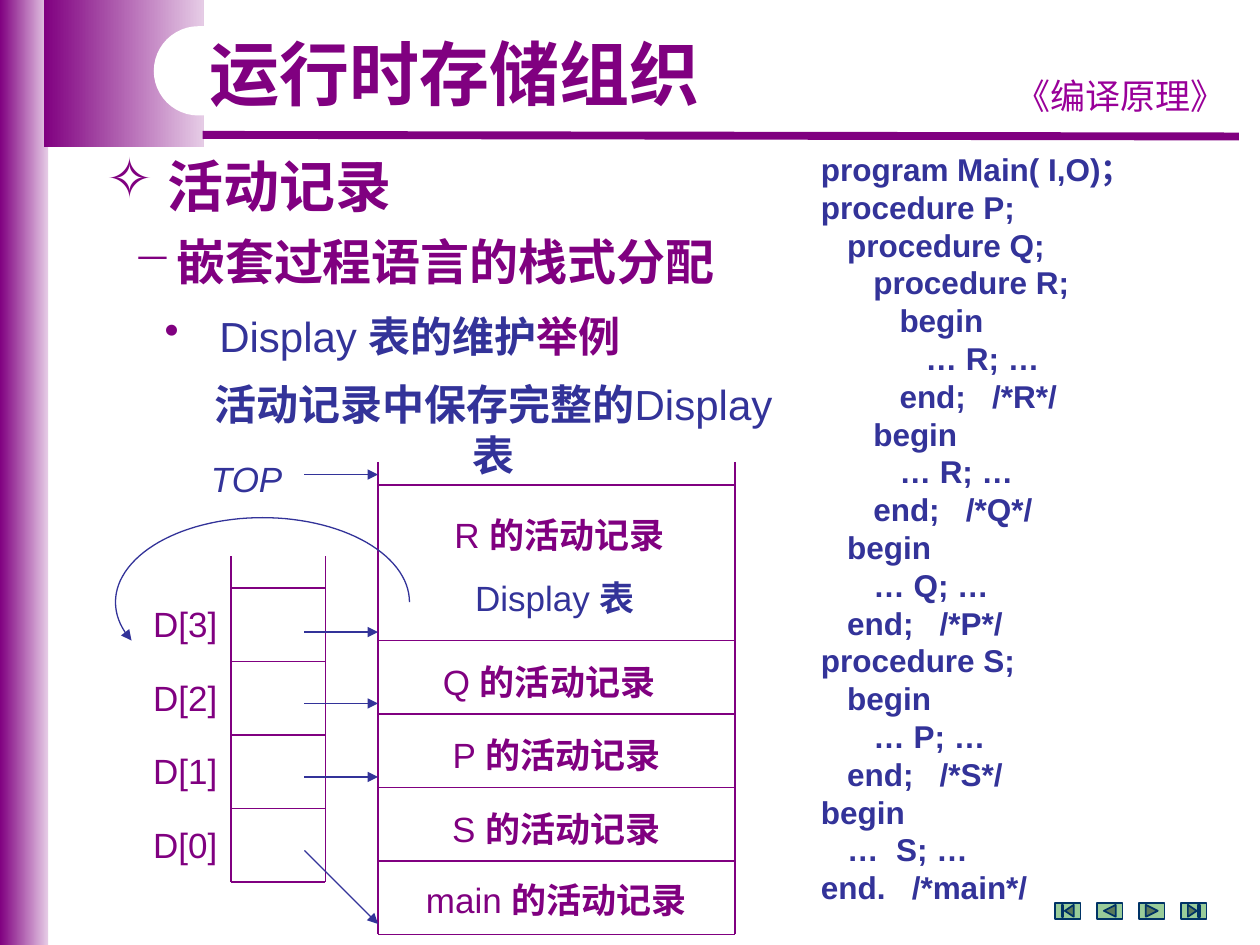
import math
from dataclasses import dataclass

import pptx
import pptx.dml.color
import pptx.enum.dml
import pptx.enum.shapes
import pptx.enum.text
import pptx.oxml
import pptx.oxml.ns
import pptx.util
from lxml import etree

PURPLE, BLUE, PALE = "800080", "333399", "E6CCE6"
COLUMNS, ROWS = 120, 90  # the slide is a grid of square cells
CHINESE_FONT = "Noto Sans CJK SC"
CHINESE_LEADING, LATIN_LEADING = 1.29, 1.2  # line height as share of text size
SHAPES = pptx.enum.shapes.MSO_SHAPE
LEFT, CENTER = pptx.enum.text.PP_ALIGN.LEFT, pptx.enum.text.PP_ALIGN.CENTER

deck = pptx.Presentation()
deck.slide_width, deck.slide_height = pptx.util.Inches(10), pptx.util.Inches(7.5)
page = deck.slides.add_slide(deck.slide_layouts[6])
CELL = deck.slide_width / COLUMNS


@dataclass
class Span:
    text: str
    color: str = PURPLE
    bold: bool = False
    italic: bool = False
    font: str = "Arial"


@dataclass
class Para:
    spans: list[Span]
    size: float = 20
    align: int = LEFT
    leading: float = CHINESE_LEADING
    before: float = 0
    bullet: str = ""
    hang: float = 0  # grid cells from bullet to text
    indent: float = 0  # grid cells from box edge to text


def cells(*values: float) -> list[int]:
    return [round(value * CELL) for value in values]


def rgb(color: str):
    return pptx.dml.color.RGBColor.from_string(color)


def add_child(parent, tag: str, **attributes: str):
    child = etree.SubElement(parent, pptx.oxml.ns.qn(tag))
    for name, value in attributes.items():
        child.set(name, value)
    return child


def add_text(area: tuple, paras: list[Para], wrap: bool = True) -> None:
    frame = page.shapes.add_textbox(*cells(*area)).text_frame
    frame.word_wrap = wrap
    for index, item in enumerate(paras):
        para = frame.paragraphs[0] if index == 0 else frame.add_paragraph()
        if item.bullet:
            properties = para._p.get_or_add_pPr()
            properties.set("marL", str(cells(item.indent)[0]))
            properties.set("indent", str(-cells(item.hang)[0]))
            add_child(add_child(properties, "a:buClr"), "a:srgbClr", val=PURPLE)
            add_child(properties, "a:buChar", char=item.bullet)
        layout = {"alignment": item.align,
                  "line_spacing": pptx.util.Pt(round(item.size * item.leading, 1)),
                  "space_before": pptx.util.Pt(item.before)}
        for name, value in layout.items():
            setattr(para, name, value)
        for span in item.spans:
            run = para.add_run()
            run.text = span.text
            style = {"size": pptx.util.Pt(item.size), "name": span.font,
                     "bold": span.bold, "italic": span.italic}
            for name, value in style.items():
                setattr(run.font, name, value)
            run.font.color.rgb = rgb(span.color)
            add_child(run._r.get_or_add_rPr(), "a:ea", typeface=CHINESE_FONT)


def set_line(line, color: str, width: float, arrow: bool = False) -> None:
    line.color.rgb = rgb(color)
    line.width = pptx.util.Pt(width)
    if arrow:
        add_child(line._get_or_add_ln(), "a:headEnd", type="triangle")


def add_line(start: tuple, end: tuple, color: str = PURPLE,
             width: float = 0.75, arrow: bool = False) -> None:
    line = page.shapes.add_connector(
        pptx.enum.shapes.MSO_CONNECTOR.STRAIGHT, *cells(*start, *end))
    set_line(line.line, color, width, arrow)
    add_child(line._element.spPr, "a:effectLst")


def add_shape(kind, area: tuple, fill: str, fade: str = "", outline: str = ""):
    shape = page.shapes.add_shape(kind, *cells(*area))
    shape.shadow.inherit = False
    if fade:
        shape.fill.gradient()
        shape.fill.gradient_angle = 0
        for stop, color in zip(shape.fill.gradient_stops, (fill, fade)):
            stop.color.rgb = rgb(color)
    else:
        shape.fill.solid()
        shape.fill.fore_color.rgb = rgb(fill)
    if outline:
        set_line(shape.line, outline, 1)
    else:
        shape.line.fill.background()
    return shape


def add_stack(left: float, right: float, top: float, bottom: float, rungs: list) -> None:
    for column in (left, right):
        add_line((column, top), (column, bottom))
    for row in [*rungs, bottom]:
        add_line((left, row), (right, row))


# Page frame
add_shape(SHAPES.RECTANGLE, (0, 0, 4.6, ROWS), PURPLE, PALE)
add_shape(SHAPES.RECTANGLE, (4.2, 0, 15.2, 14), PURPLE, PALE)
add_line((19.3, 12.85), (118, 13), width=4.5)
add_text((94.9, 6.2, 23.6, 5.2),
         [Para([Span("《编译原理》", "990099", font="Comic Neue")], align=CENTER)])
add_shape(SHAPES.ROUNDED_RECTANGLE, (14.65, 2.5, 43.4, 8.5), "FFFFFF").adjustments[0] = 0.5

# Headings
add_text((18.8, 2.5, 49.7, 8.4),
         [Para([Span("运行时存储组织", bold=True)], 40, leading=1.17)])
add_text((9, 13.4, 88, 7.6),
         [Para([Span("活动记录", bold=True)], 32, bullet="✧", hang=5.8, indent=5.8)])
add_text((11.5, 21, 63.5, 13.6), [
    Para([Span("嵌套过程语言的栈式分配", bold=True, font="Times New Roman")], 28,
         bullet="−", hang=4.1, indent=4.1),
    Para([Span("Display ", BLUE), Span("表的维护", BLUE, True), Span("举例", bold=True)],
         24, before=9.5, bullet="•", hang=5.2, indent=8.2)])
add_text((17.3, 35.5, 59.4, 6), [
    Para([Span("活动记录中保存完整的", BLUE, True), Span("Display ", BLUE),
          Span("表", BLUE, True)], 24, CENTER, LATIN_LEADING)])

# Run-time stack of activation records
STACK_LEFT, STACK_RIGHT = 36, 70
add_stack(STACK_LEFT, STACK_RIGHT, 44, 89, [46.2, 61, 68, 75, 82])
records = [("R ", 37, 48), ("Q ", 36, 62), ("P ", 36.7, 69), ("S ", 36.7, 76),
           ("main ", 36.7, 82.8)]
for name, column, row in records:
    add_text((column, row, 32.6, 5.2),
             [Para([Span(name), Span("的活动记录", bold=True)], align=CENTER)])
add_text((36.7, 54, 32.3, 5.2),
         [Para([Span("Display ", BLUE), Span("表", BLUE, True)], align=CENTER)])

# Display registers and their pointers
DISPLAY_STEP = 7
add_stack(22, 31, 53, 84, [84 - DISPLAY_STEP * level for level in range(1, 5)])
for level in range(4):
    add_text((13.4, 77.8 - DISPLAY_STEP * level, 8.5, 5.2),
             [Para([Span(f"D[{level}]")], leading=LATIN_LEADING)], wrap=False)
add_text((18, 43, 11, 5.2),
         [Para([Span("TOP", BLUE, italic=True)], align=CENTER, leading=LATIN_LEADING)])
for target, source in [(45.2, 45.2), (60.2, 60.2), (67, 67), (74, 74), (88, 81)]:
    add_line((STACK_LEFT, target), (29, source), BLUE, arrow=True)

# Curved pointer from the saved table to the registers
points = [(25 + 14 * math.cos(math.radians(angle)), 57.35 + 8.05 * math.sin(math.radians(angle)))
          for angle in range(153, 361, 3)]
points = [cells(*point) for point in points]
builder = page.shapes.build_freeform(*points[0])
builder.add_line_segments(points[1:], close=False)
curve = builder.convert_to_shape()
curve.shadow.inherit = False
curve.fill.background()
set_line(curve.line, BLUE, 0.75, arrow=True)

# Program listing
PROGRAM = """program Main( I,O)；
procedure P;
   procedure Q;
      procedure R;
         begin
            … R; …
         end;   /*R*/
      begin
         … R; …
      end;   /*Q*/
   begin
      … Q; …
   end;   /*P*/
procedure S;
   begin
      … P; …
   end;   /*S*/
begin
   …  S; …
end.   /*main*/"""
add_text((77, 13.7, 33, 73.3),
         [Para([Span(text, BLUE, True)], 18, leading=LATIN_LEADING)
          for text in PROGRAM.splitlines()])

# Navigation buttons
buttons = [SHAPES.ACTION_BUTTON_BEGINNING, SHAPES.ACTION_BUTTON_BACK_OR_PREVIOUS,
           SHAPES.ACTION_BUTTON_FORWARD_OR_NEXT, SHAPES.ACTION_BUTTON_END]
for index, kind in enumerate(buttons):
    add_shape(kind, (100.5 + 4 * index, 86, 2.4, 1.5), "99CC99", outline="003366")

deck.save("out.pptx")
